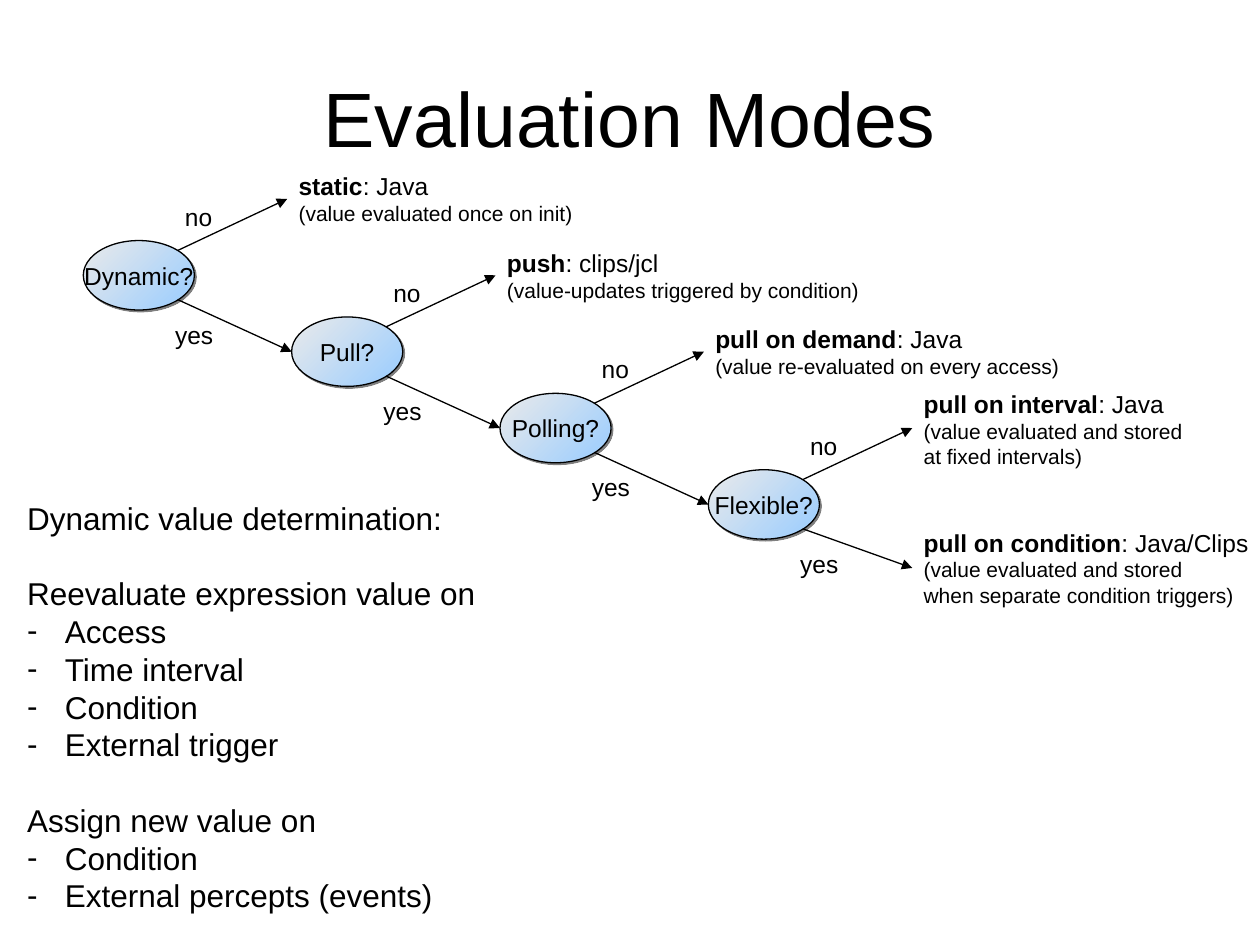
from lxml.etree import SubElement
from pptx import Presentation
from pptx.dml.color import RGBColor
from pptx.enum.shapes import MSO_CONNECTOR as Connector, MSO_SHAPE as Preset
from pptx.enum.text import MSO_ANCHOR as Anchor, PP_ALIGN as Align
from pptx.oxml.ns import qn
from pptx.util import Cm, Pt

FONT = "Arial"
BLACK = "000000"
STEP_X, STEP_Y = 4.2, 1.54
NODE_WIDTH, NODE_HEIGHT = 2.24, 1.4

# question, answer "no": name, language, details, text width
QUESTIONS = [
    ("Dynamic?", ("static", ": Java", ["(value evaluated once on init)"], 6.02)),
    ("Pull?", ("push", ": clips/jcl", ["(value-updates triggered by condition)"], 7.62)),
    ("Polling?", ("pull on demand", ": Java", ["(value re-evaluated on every access)"], 7.44)),
    ("Flexible?", ("pull on interval", ": Java",
                   ["(value evaluated and stored\nat fixed intervals)"], 5.72)),
]
LAST_YES = ("pull on condition", ": Java/Clips",
            ["(value evaluated and stored", "when separate condition triggers)"], 7.06)
NOTES = [
    ("Dynamic value determination:", []),
    ("Reevaluate expression value on",
     ["Access", "Time interval", "Condition", "External trigger"]),
    ("Assign new value on", ["Condition", "External percepts (events)"]),
]


def color(value):
    return RGBColor.from_string(value)


def set_font(paragraph, size):
    paragraph.font.name = FONT
    paragraph.font.size = Pt(size)
    paragraph.font.color.rgb = color(BLACK)


def add_text_frame(slide, left, top, width, height):
    frame = slide.shapes.add_textbox(Cm(left), Cm(top), Cm(width), Cm(height)).text_frame
    frame.word_wrap = True
    frame.margin_right = 0
    return frame


def add_paragraph(frame, text, size):
    first = frame.paragraphs[0]
    paragraph = frame.add_paragraph() if first.runs else first
    paragraph.text = text
    set_font(paragraph, size)
    return paragraph


def add_title(slide, left, top, width, height):
    frame = add_text_frame(slide, left, top, width, height)
    frame.margin_left = 0
    frame.vertical_anchor = Anchor.MIDDLE
    add_paragraph(frame, "Evaluation Modes", 44).alignment = Align.CENTER


def add_arrow(slide, start, end):
    arrow = slide.shapes.add_connector(Connector.STRAIGHT, *map(Cm, start + end))
    arrow.line.color.rgb = color(BLACK)
    arrow.line.width = Pt(0.75)
    SubElement(arrow.line._get_or_add_ln(), qn("a:tailEnd"), type="triangle")
    SubElement(arrow._element.spPr, qn("a:effectLst"))


def add_question(slide, left, top, text):
    node = slide.shapes.add_shape(Preset.OVAL, Cm(left), Cm(top),
                                  Cm(NODE_WIDTH), Cm(NODE_HEIGHT))
    # Diagonal gradient, light grey to light blue
    node.fill.gradient()
    node.fill.gradient_angle = 315
    for stop, position, value in zip(node.fill.gradient_stops, (0, 1), ("EAEAEA", "99CCFF")):
        stop.position = position
        stop.color.rgb = color(value)
    node.line.color.rgb = color(BLACK)
    node.line.width = Pt(0.75)
    # Hard grey shadow to the lower right
    node.shadow.inherit = False
    effects = node._element.spPr.find(qn("a:effectLst"))
    shadow = SubElement(effects, qn("a:outerShdw"), dist=str(Pt(1.4)), dir="2700000",
                        algn="ctr", rotWithShape="0")
    SubElement(shadow, qn("a:srgbClr"), val="808080")

    frame = node.text_frame
    frame.word_wrap = False
    frame.vertical_anchor = Anchor.MIDDLE
    add_paragraph(frame, text, 14).alignment = Align.CENTER


def add_outcome(slide, left, top, name, language, details, width):
    frame = add_text_frame(slide, left, top, width, 1.37)
    heading = add_paragraph(frame, name, 14)
    heading.runs[0].font.bold = True
    heading.add_run().text = language
    for detail in details:
        add_paragraph(frame, detail, 12)


def add_decision_tree(slide, left, top):
    last = len(QUESTIONS) - 1
    for index, (question, outcome) in enumerate(QUESTIONS):
        x, y = left + index * STEP_X, top + index * STEP_Y
        add_question(slide, x, y, question)

        # Branch "no", up to the outcome
        add_arrow(slide, (x + 1.9, y + 0.2), (x + 4.11, y - 0.84))
        add_paragraph(add_text_frame(slide, x + 1.8, y - 0.91, 1.04, 0.86), "no", 14)
        add_outcome(slide, x + 4.09, y - (1.75 if index == last else 1.52), *outcome)

        # Branch "yes", down to the next question or the last outcome
        end = (4.11, 1.98) if index == last else (STEP_X, STEP_Y + NODE_HEIGHT / 2)
        add_arrow(slide, (x + 1.9, y + 1.19), (x + end[0], y + end[1]))
        add_paragraph(add_text_frame(slide, x + 1.6, y + 1.47, 1.27, 0.86), "yes", 14)
        if index == last:
            add_outcome(slide, x + 4.09, y + 1.04, *LAST_YES)


def add_notes(slide, left, top, width, height):
    frame = add_text_frame(slide, left, top, width, height)
    for index, (heading, items) in enumerate(NOTES):
        paragraph = add_paragraph(frame, heading, 18)
        if index:
            paragraph.space_before = Pt(21.5)
        for item in items:
            paragraph = frame.add_paragraph()
            paragraph.text = item
            properties = paragraph._p.get_or_add_pPr()
            properties.set("marL", str(Cm(0.76)))
            properties.set("indent", str(Cm(-0.76)))
            SubElement(properties, qn("a:buFont"), typeface=FONT)
            SubElement(properties, qn("a:buChar"), char="-")
            set_font(paragraph, 18)


def main():
    presentation = Presentation()
    presentation.slide_width = Cm(25.4)
    presentation.slide_height = Cm(19.05)
    slide = presentation.slides.add_slide(presentation.slide_layouts[6])
    add_title(slide, 1.27, 0.76, 22.86, 3.18)
    add_decision_tree(slide, 1.68, 4.85)
    add_notes(slide, 0.3, 9.93, 9.7, 8.64)
    presentation.save("out.pptx")


if __name__ == "__main__":
    main()
